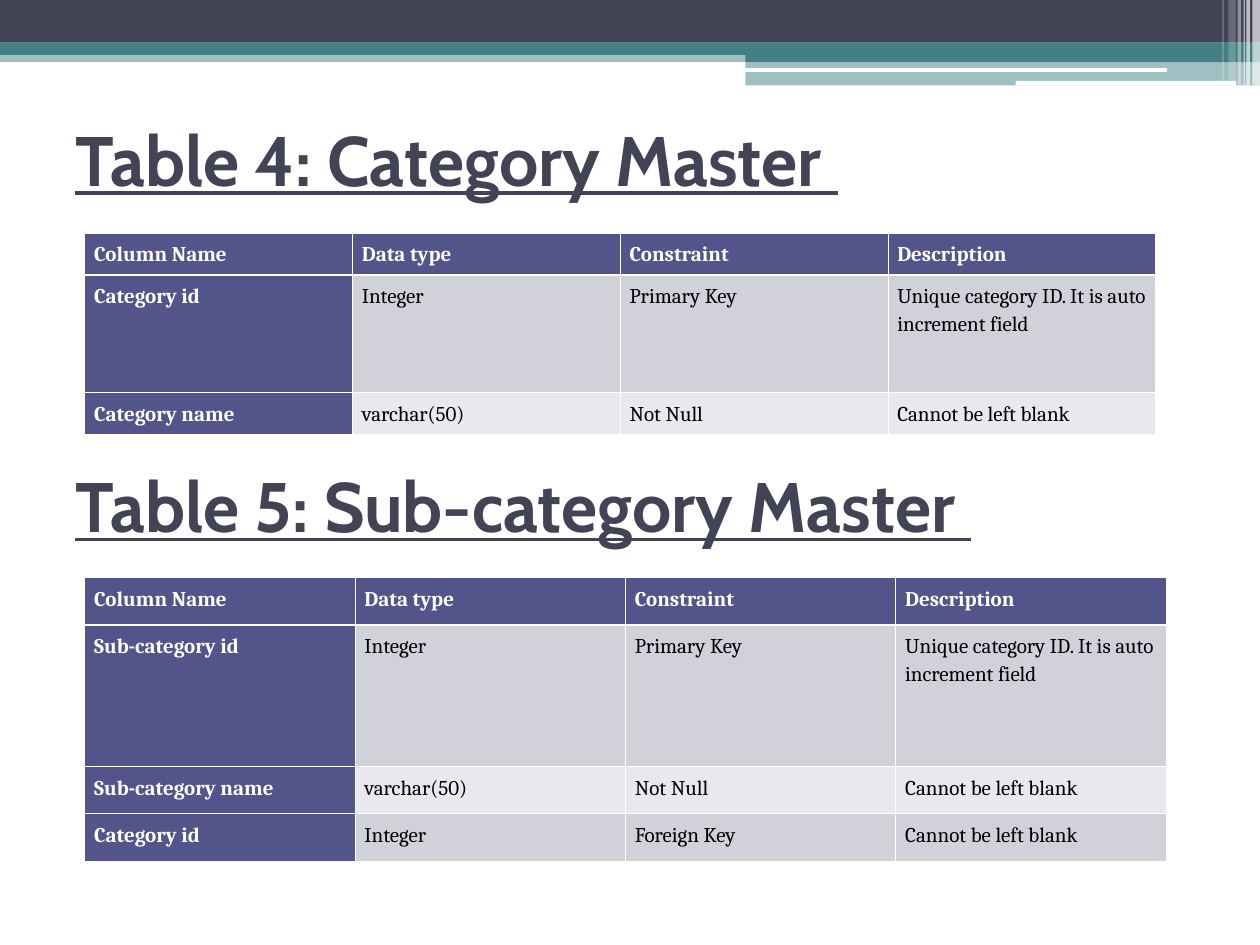
from lxml.etree import SubElement
from pptx import Presentation
from pptx.dml.color import RGBColor
from pptx.enum.shapes import MSO_SHAPE
from pptx.enum.text import MSO_ANCHOR
from pptx.oxml.ns import qn
from pptx.util import Pt

DARK, TEAL, WHITE, BLACK = "424456", "438086", "FFFFFF", "000000"
HEADER_FILL = "53548A"
BAND_FILLS = ["D1D1DA", "E9E9ED"]
THIN, THICK = 0.45, 1.5


def paint(fill, color, opacity=100):
    fill.solid()
    fill.fore_color.rgb = RGBColor.from_string(color)
    if opacity < 100:
        solid = fill._xPr.find(qn("a:solidFill"))
        SubElement(solid[0], qn("a:alpha"), val=str(opacity * 1000))


def add_border(cell, side, width):
    """Draw a white line on one side of a cell: L, R, T or B."""
    line = SubElement(cell._tc.get_or_add_tcPr(), qn(f"a:ln{side}"), w=str(Pt(width)))
    solid = SubElement(line, qn("a:solidFill"))
    SubElement(solid, qn("a:srgbClr"), val=WHITE)


deck = Presentation()
deck.slide_width, deck.slide_height = Pt(720), Pt(540)
page = deck.slides.add_slide(deck.slide_layouts[6])

# Header decoration: left, top, width, height, colour, opacity
bars = [
    (0, 28.8, 720, 6.6, TEAL, 50),
    (0, 0, 720, 24.4, DARK, 100),
    (0, 24.2, 720, 7.2, TEAL, 100),
    (426, 28.3, 294, 7.2, TEAL, 100),
    (426, 34.6, 294, 14.2, TEAL, 50),
    (425.6, 38.9, 241.2, 2.2, WHITE, 100),
    (580.4, 46.2, 126, 2.7, WHITE, 100),
    (715.6, 0, 4.4, 48.8, WHITE, 65),
    (712.2, 0, 2, 48.8, WHITE, 65),
    (710.7, 0, 0.7, 48.8, WHITE, 60),
    (707.2, 0, 2, 48.8, WHITE, 40),
    (702, 0, 4.2, 46.2, WHITE, 20),
    (698.5, 0, 0.7, 46.2, WHITE, 30),
]
for left, top, width, height, color, opacity in bars:
    rounded = color == WHITE and opacity == 100
    kind = MSO_SHAPE.ROUNDED_RECTANGLE if rounded else MSO_SHAPE.RECTANGLE
    bar = page.shapes.add_shape(kind, Pt(left), Pt(top), Pt(width), Pt(height))
    bar.shadow.inherit = False
    bar.line.fill.background()
    paint(bar.fill, color, opacity)

header = ["Column Name", "Data type", "Constraint", "Description"]
id_note = "Unique category ID. It is auto increment field"
not_blank = "Cannot be left blank"

# Title, title top, table top, column width, row heights, rows
sections = [
    ("Table 4: Category Master ", 48.4, 133.2, 153, [22.5, 67.5, 22.5], [
        header,
        ["Category id", "Integer", "Primary Key", id_note],
        ["Category name", "varchar(50)", "Not Null", not_blank],
    ]),
    ("Table 5: Sub-category Master ", 246.2, 330, 154.5, [27, 81, 27, 27], [
        header,
        ["Sub-category id", "Integer", "Primary Key", id_note],
        ["Sub-category name", "varchar(50)", "Not Null", not_blank],
        ["Category id", "Integer", "Foreign Key", not_blank],
    ]),
]

for title, title_top, table_top, column_width, heights, rows in sections:
    box = page.shapes.add_textbox(Pt(36), Pt(title_top), Pt(648), Pt(84))
    box.text_frame.word_wrap = True
    box.text_frame.vertical_anchor = MSO_ANCHOR.MIDDLE
    span = box.text_frame.paragraphs[0].add_run()
    span.text = title
    span.font.name, span.font.size = "Cabin", Pt(40)
    span.font.bold = span.font.underline = True
    span.font.color.rgb = RGBColor.from_string(DARK)

    table = page.shapes.add_table(
        len(rows), len(header), Pt(48.4), Pt(table_top),
        Pt(column_width * len(header)), Pt(sum(heights))).table
    table.first_col = True
    for column in table.columns:
        column.width = Pt(column_width)

    for row_index, (height, words) in enumerate(zip(heights, rows)):
        table.rows[row_index].height = Pt(height)
        for column_index, word in enumerate(words):
            cell = table.cell(row_index, column_index)
            is_heading = row_index == 0 or column_index == 0
            cell.margin_left = cell.margin_right = Pt(5.4)
            add_border(cell, "L", THIN)
            add_border(cell, "R", THIN)
            add_border(cell, "T", THICK if row_index == 1 else THIN)
            add_border(cell, "B", THICK if row_index == 0 else THIN)
            paint(cell.fill, HEADER_FILL if is_heading else BAND_FILLS[(row_index - 1) % 2])

            para = cell.text_frame.paragraphs[0]
            para.line_spacing = 1.15
            span = para.add_run()
            span.text = word
            span.font.name, span.font.size = "Cambria", Pt(12)
            span.font.bold = is_heading
            span.font.color.rgb = RGBColor.from_string(WHITE if is_heading else BLACK)

deck.save("out.pptx")
